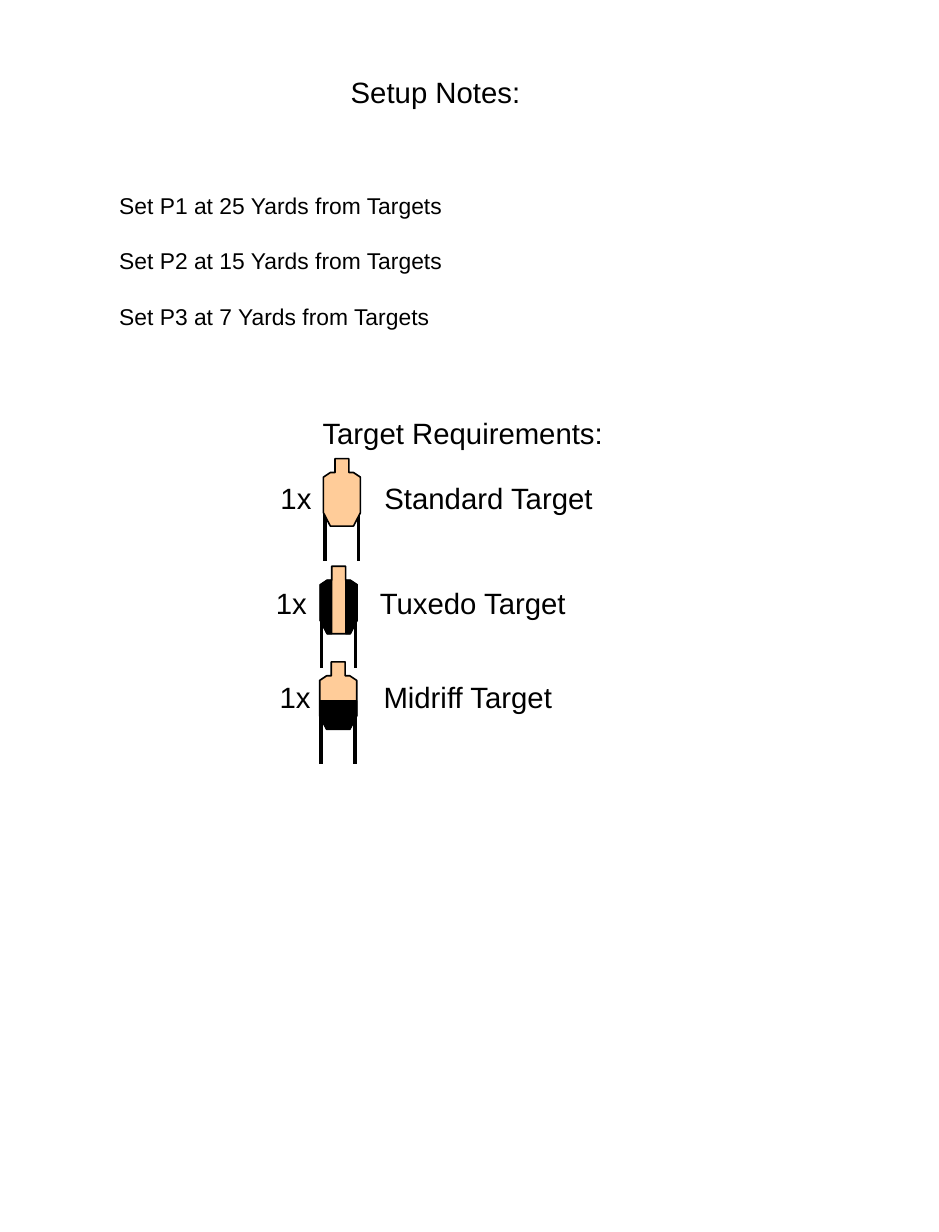
import pptx
import pptx.dml.color
import pptx.enum.shapes
import pptx.oxml.ns
import pptx.util
from lxml import etree

Cm, Pt = pptx.util.Cm, pptx.util.Pt
BLACK = pptx.dml.color.RGBColor(0x00, 0x00, 0x00)
TAN = pptx.dml.color.RGBColor(0xFF, 0xCC, 0x99)
FONT = "Arial"

# Target geometry in cm, relative to its top left corner
WIDTH = 0.8
SHOULDER, HIP, FOOT = (0.65, 0.3), (0.8, 1.17), (0.65, 1.46)
SIDE = [SHOULDER, (0.8, 0.4), HIP, FOOT]
LEGS_X = (0.03, 0.76)
LEG_TOP, LEG_BOTTOM = 1.09, 2.21


def mirror(points):
    return [(WIDTH - x, y) for x, y in reversed(points)]


def both_sides(points):
    return points + mirror(points)


BODY = both_sides([(0.55, 0), (0.55, 0.3)] + SIDE)
JACKET = SIDE + [(0.55, 1.46), (0.55, 0.3)]
MIDRIFF = both_sides([(0.8, 0.84), HIP, FOOT])

# Name, black panels, target left and top, label left and top
TARGETS = [
    ("Standard Target", [], 7.0, 9.93, 5.82, 10.26),
    ("Tuxedo Target", [JACKET, mirror(JACKET)], 6.93, 12.26, 5.72, 12.55),
    ("Midriff Target", [MIDRIFF], 6.92, 14.33, 5.8, 14.58),
]


class SlideBuilder:
    def __init__(self, slide):
        self.s = slide

    def text(self, x, y, w, h, lines, size, gap=0, tab=None):
        tf = self.s.shapes.add_textbox(Cm(x), Cm(y), Cm(w), Cm(h)).text_frame
        tf.word_wrap = True
        tf.text = "\n".join(lines)
        for i, p in enumerate(tf.paragraphs):
            if tab:
                pPr = p._p.get_or_add_pPr()
                tabs = etree.SubElement(pPr, pptx.oxml.ns.qn("a:tabLst"))
                etree.SubElement(tabs, pptx.oxml.ns.qn("a:tab"),
                                 pos=str(Cm(tab)), algn="l")
            if i:
                p.space_before = Pt(gap)
            for r in p.runs:
                r.font.name = FONT
                r.font.size = Pt(size)
                r.font.color.rgb = BLACK

    def leg(self, group, x, top, bottom):
        line = group.shapes.add_connector(
            pptx.enum.shapes.MSO_CONNECTOR.STRAIGHT,
            Cm(x), Cm(top), Cm(x), Cm(bottom))
        line.line.color.rgb = BLACK
        line.line.width = Pt(2.25)
        etree.SubElement(line._element.spPr, pptx.oxml.ns.qn("a:effectLst"))

    def outline(self, group, x, y, points, fill, width):
        points = [(Cm(x + dx), Cm(y + dy)) for dx, dy in points]
        builder = group.shapes.build_freeform(*points[0])
        builder.add_line_segments(points[1:], close=True)
        sp = builder.convert_to_shape()
        sp.shadow.inherit = False
        sp.fill.solid()
        sp.fill.fore_color.rgb = fill
        sp.line.color.rgb = BLACK
        sp.line.width = Pt(width)

    def target(self, x, y, panels):
        """Draw a target on two legs, with black panels over its body."""
        group = self.s.shapes.add_group_shape()
        for dx in LEGS_X:
            self.leg(group, x + dx, y + LEG_TOP, y + LEG_BOTTOM)
        self.outline(group, x, y, BODY, TAN, 1)
        for panel in panels:
            self.outline(group, x, y, panel, BLACK, 0)


def main():
    prs = pptx.Presentation()
    prs.slide_width, prs.slide_height = Cm(20.32), Cm(26.67)
    b = SlideBuilder(prs.slides.add_slide(prs.slide_layouts[6]))

    b.text(7.34, 1.48, 4.4, 1.02, ["Setup Notes:"], 18)
    distances = [("P1", 25), ("P2", 15), ("P3", 7)]
    b.text(2.33, 4.02, 15.67, 3.25,
           [f"Set {p} at {yards} Yards from Targets" for p, yards in distances],
           14, gap=17.3)
    b.text(6.73, 8.87, 7, 1.02, ["Target Requirements:"], 18)
    for name, panels, x, y, label_x, label_y in TARGETS:
        b.target(x, y, panels)
        b.text(label_x, label_y, 7.34, 1.02, [f"1x\t{name}"], 18, tab=2.25)

    prs.save("out.pptx")


if __name__ == "__main__":
    main()
